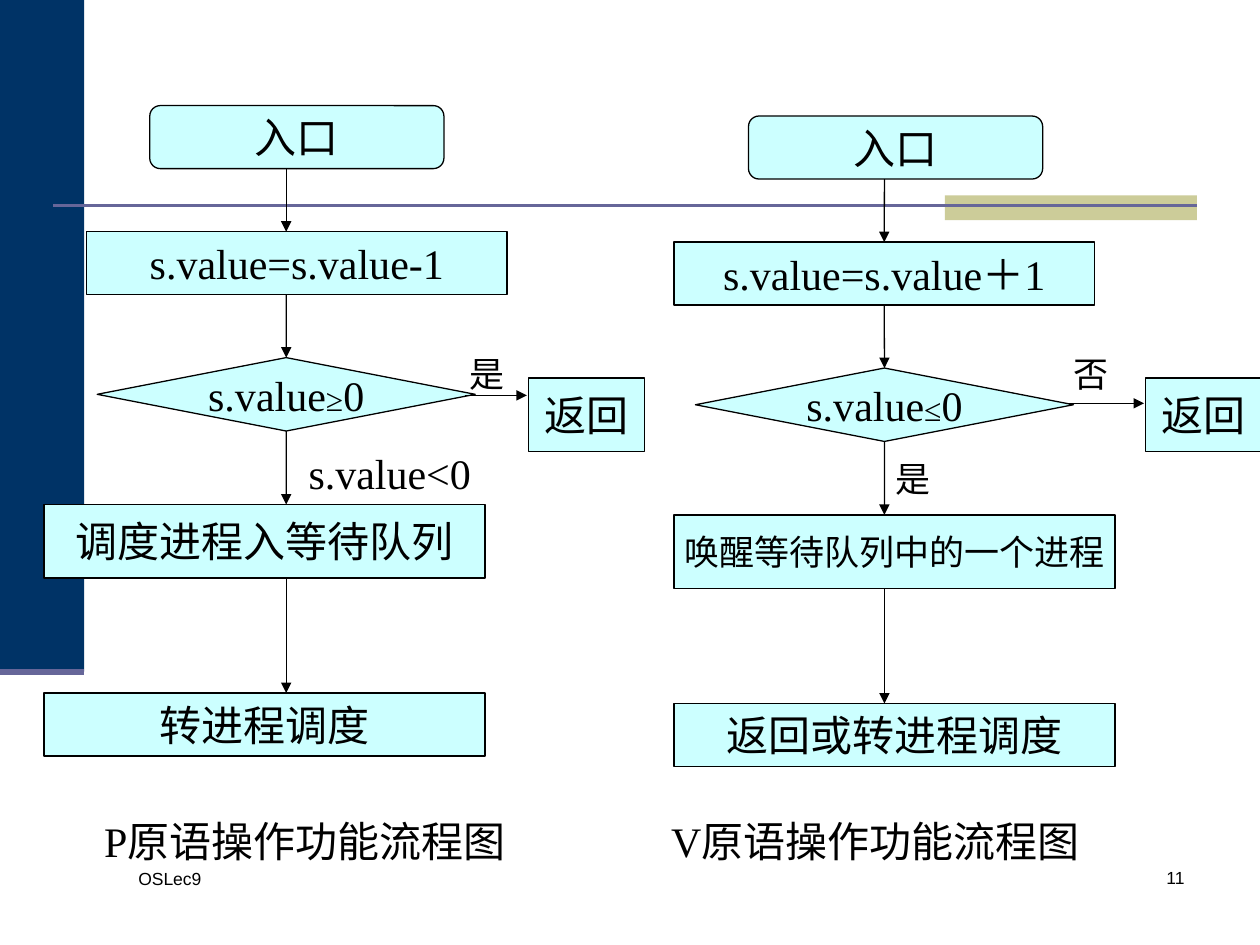
from itertools import pairwise
from lxml.etree import SubElement
from pptx import Presentation
from pptx.dml.color import RGBColor
from pptx.enum.shapes import MSO_CONNECTOR, MSO_SHAPE
from pptx.enum.text import MSO_ANCHOR, MSO_AUTO_SIZE, PP_ALIGN
from pptx.oxml.ns import qn
from pptx.util import Cm, Pt

NAVY = RGBColor(0x00, 0x33, 0x66)
KHAKI = RGBColor(0xCC, 0xCC, 0x99)
VIOLET = RGBColor(0x66, 0x66, 0x99)
CYAN = RGBColor(0xCC, 0xFF, 0xFF)
BLACK = RGBColor(0, 0, 0)
ENTRY = MSO_SHAPE.FLOWCHART_ALTERNATE_PROCESS
STEP = MSO_SHAPE.FLOWCHART_PROCESS
TEST = MSO_SHAPE.FLOWCHART_DECISION
NODES = [
    (ENTRY, 0, 5.93, 1.27),
    (STEP, 2.54, 8.47, 1.27),
    (TEST, 5.08, 7.62, 1.48),
    (STEP, 8.04, 8.89, 1.48),
    (STEP, 11.84, 8.89, 1.27),
]


def write(shape, text, size=24, font="Times New Roman", align=PP_ALIGN.LEFT,
          anchor=MSO_ANCHOR.TOP, wrap=False):
    frame = shape.text_frame
    frame.word_wrap = wrap
    frame.vertical_anchor = anchor
    para = frame.paragraphs[0]
    para.alignment = align
    parts = [(text, size)] if isinstance(text, str) else text
    for words, points in parts:
        run = para.add_run()
        run.text = words
        run.font.size = Pt(points)
        run.font.name = font
        run.font.color.rgb = BLACK


def label(slide, x, y, w, h, text, grow=True, **style):
    box = slide.shapes.add_textbox(Cm(x), Cm(y), Cm(w), Cm(h))
    write(box, text, **style)
    if grow:
        box.text_frame.auto_size = MSO_AUTO_SIZE.SHAPE_TO_FIT_TEXT


def block(slide, kind, x, y, w, h, fill, edge=None):
    shape = slide.shapes.add_shape(kind, Cm(x), Cm(y), Cm(w), Cm(h))
    shape.shadow.inherit = False
    shape.fill.solid()
    shape.fill.fore_color.rgb = fill
    if edge is None:
        shape.line.fill.background()
    else:
        shape.line.color.rgb = edge
        shape.line.width = Pt(0.75)
    return shape


def node(slide, kind, x, y, w, h, text, size=24):
    shape = block(slide, kind, x, y, w, h, CYAN, BLACK)
    write(shape, text, size=size, align=PP_ALIGN.CENTER,
          anchor=MSO_ANCHOR.MIDDLE)
    return shape


def rule(slide, x, y, right, low, color=BLACK, width=0.75, arrow=True):
    line = slide.shapes.add_connector(
        MSO_CONNECTOR.STRAIGHT, Cm(x), Cm(y), Cm(right), Cm(low))
    line.line.color.rgb = color
    line.line.width = Pt(width)
    props = line.element.spPr
    if arrow:
        SubElement(props.find(qn("a:ln")), qn("a:tailEnd"), type="triangle")
    SubElement(props, qn("a:effectLst"))
    return line


def frame(slide):
    block(slide, MSO_SHAPE.RECTANGLE, 0, 0, 1.7, 13.54, NAVY)
    block(slide, MSO_SHAPE.RECTANGLE, 19.05, 3.94, 5.08, 0.5, KHAKI)
    rule(slide, 1.07, 4.14, 24.13, 4.14, VIOLET, 1.5, False)
    rule(slide, 0, 13.54, 1.7, 13.54, VIOLET, 3.5, False)
    style = dict(grow=False, size=10, font="Arial", wrap=True)
    label(slide, 2.54, 17.37, 5.51, 1.27, "OSLec9", **style)
    label(slide, 18.85, 17.35, 5.28, 1.27, "11", align=PP_ALIGN.RIGHT, **style)


def central(shape, mid):
    return abs(shape.left + shape.width / 2 - Cm(mid)) < Cm(0.05)


def flow(slide, x, y, axis, lefts, texts, size=24):
    sizes = [24, 24, 24, size, 24]
    shapes = [
        node(slide, kind, x + left, y + top, w, h, text, points)
        for (kind, top, w, h), left, text, points
        in zip(NODES, lefts, texts, sizes)
    ]
    mid = x + axis
    for above, below in pairwise(shapes):
        start = (above.top + above.height) / Cm(1)
        line = rule(slide, mid, start, mid, below.top / Cm(1))
        if central(above, mid):
            line.begin_connect(above, 2)
        if central(below, mid):
            line.end_connect(below, 0)


def leave(slide, x, y, word, drop, run):
    label(slide, x, y, 1.22, 1.12, word, size=20)
    start, end = x + 0.15, x + 0.15 + run
    rule(slide, start, y + drop, end, y + drop)
    node(slide, STEP, end + 0.03, y + 0.64, 2.34, 1.48, "返回")


def main():
    deck = Presentation()
    deck.slide_width, deck.slide_height = Cm(25.4), Cm(19.05)
    slide = deck.slides.add_slide(deck.slide_layouts[6])
    frame(slide)

    flow(slide, 0.89, 2.13, 4.88, [2.13, 0.86, 1.07, 0, 0],
         ["入口", "s.value=s.value-1",
          [("s.value", 24), ("≥", 18), ("0", 24)],
          "调度进程入等待队列", "转进程调度"])
    flow(slide, 13.59, 2.34, 4.24, [1.5, 0, 0.43, 0, 0],
         ["入口", "s.value=s.value＋1",
          [("s.value", 24), ("≤", 18), ("0", 24)],
          "唤醒等待队列中的一个进程", "返回或转进程调度"], size=20)

    leave(slide, 9.22, 6.98, "是", 0.99, 1.25)
    leave(slide, 21.39, 6.98, "否", 1.15, 1.52)

    label(slide, 5.97, 8.89, 3.78, 1.27, "s.value<0")
    label(slide, 17.81, 9.09, 1.22, 1.12, "是", size=20)
    for x, name in [(1.85, "P"), (13.28, "V")]:
        label(slide, x, 16.31, 8.94, 1.27, name + "原语操作功能流程图")
    deck.save("out.pptx")


if __name__ == "__main__":
    main()
